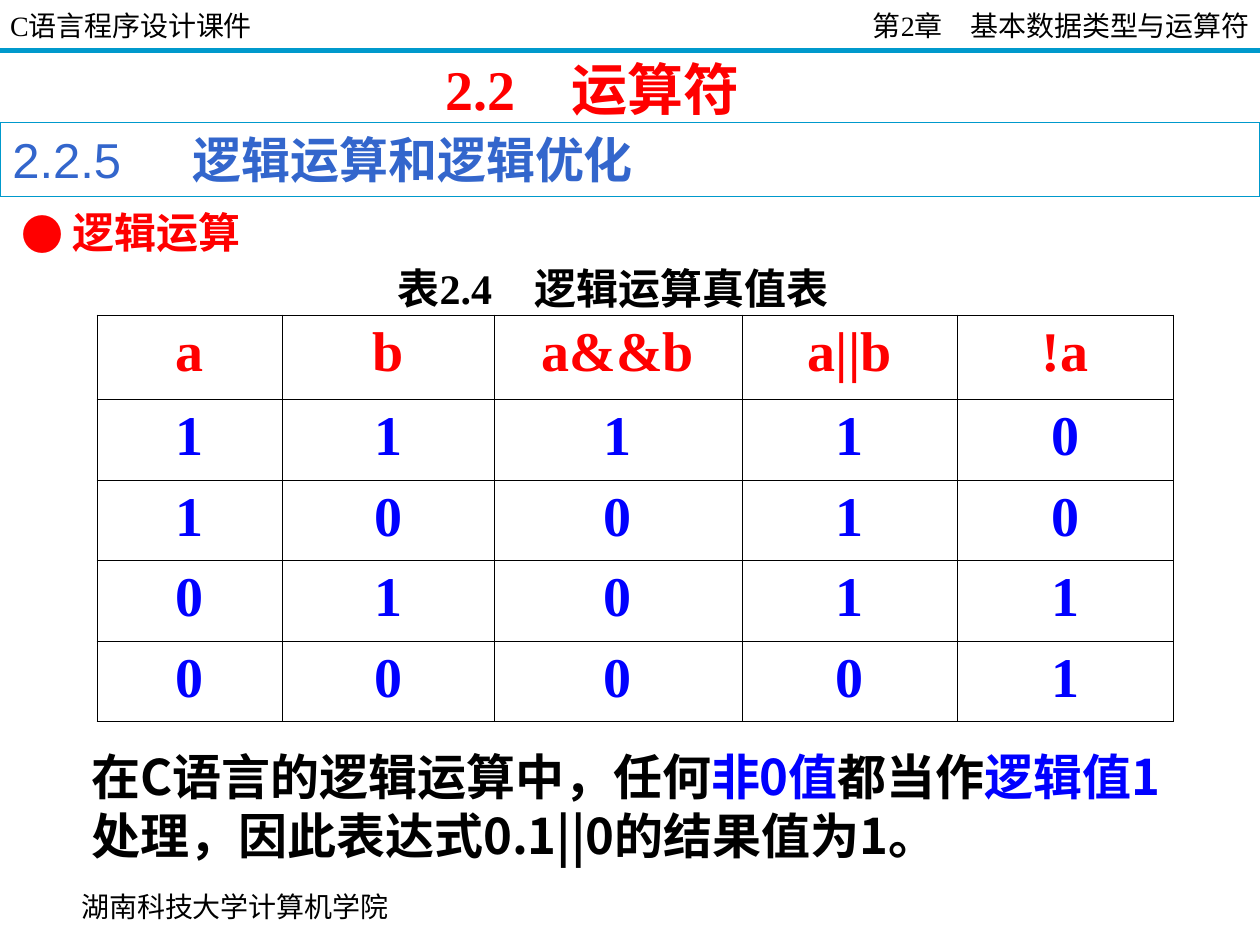
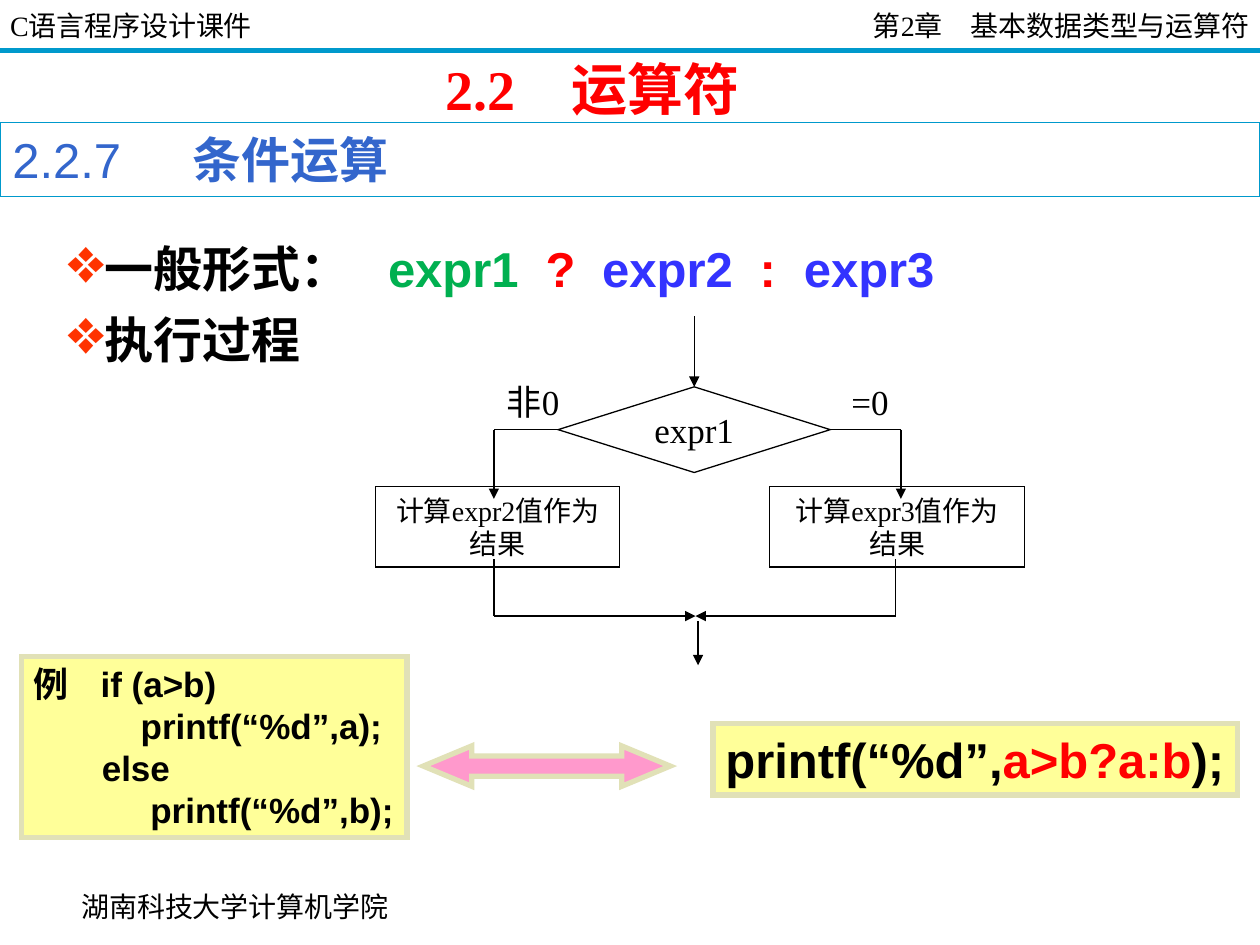
from typing import NamedTuple, Optional

from lxml.etree import SubElement
from pptx import Presentation
from pptx.dml.color import RGBColor
from pptx.enum.shapes import MSO_CONNECTOR, MSO_SHAPE
from pptx.enum.text import MSO_ANCHOR, PP_ALIGN
from pptx.oxml import parse_xml
from pptx.oxml.ns import nsdecls, qn
from pptx.util import Inches, Pt

COLORS = {
    "black": "000000", "red": "FF0000", "blue": "0000FF", "green": "00B050",
    "indigo": "3333FF", "heading": "3366CC", "rule": "0099CC",
    "bullet": "FF3300", "code": "FFFF99", "edge": "E1E1B7", "pink": "FF99CC",
}
SERIF, SANS, CJK = "Times New Roman", "Arial", "Noto Sans CJK SC"
LEFT, CENTER, RIGHT = PP_ALIGN.LEFT, PP_ALIGN.CENTER, PP_ALIGN.RIGHT
TOP, MIDDLE = MSO_ANCHOR.TOP, MSO_ANCHOR.MIDDLE


class Style(NamedTuple):
    size: float
    font: str = SERIF
    bold: bool = False
    color: str = "black"


class Span(NamedTuple):
    text: str
    style: Style


class Box(NamedTuple):
    left: float
    top: float
    width: float
    height: float

    def emu(self) -> list:
        return [Inches(value) for value in self]


class Bullet(NamedTuple):
    char: str
    color: str
    hang: float = 0
    percent: int = 100
    font: Optional[str] = None


class Arrow(NamedTuple):
    x1: float
    y1: float
    x2: float
    y2: float
    head: bool = False


SMALL, LABEL = Style(16), Style(20)
CODE = Style(20, SANS, True)
FORM = Style(28, SANS, True)
NOTE = Style(28, CJK, True)


def rgb(name: str) -> RGBColor:
    return RGBColor.from_string(COLORS[name])


def format_run(run, style: Style) -> None:
    font = run.font
    font.size, font.bold, font.name = Pt(style.size), style.bold, style.font
    font.color.rgb = rgb(style.color)
    SubElement(run._r.get_or_add_rPr(), qn("a:ea"), typeface=CJK)


def add_bullet(paragraph, bullet: Bullet) -> None:
    props = paragraph._p.get_or_add_pPr()
    props.set("marL", str(Inches(bullet.hang)))
    props.set("indent", str(-Inches(bullet.hang)))
    tint = SubElement(props, qn("a:buClr"))
    SubElement(tint, qn("a:srgbClr"), val=COLORS[bullet.color])
    SubElement(props, qn("a:buSzPct"), val=str(bullet.percent * 1000))
    if bullet.font:
        SubElement(props, qn("a:buFont"), typeface=bullet.font)
    SubElement(props, qn("a:buChar"), char=bullet.char)


def add_tabs(paragraph, tabs: list[float]) -> None:
    stops = SubElement(paragraph._p.get_or_add_pPr(), qn("a:tabLst"))
    for tab in tabs:
        SubElement(stops, qn("a:tab"), pos=str(Inches(tab)), algn="l")


def write(frame, lines: list[list[Span]], align=LEFT, anchor=TOP, wrap: bool = True,
          bullet: Optional[Bullet] = None, tabs: Optional[list[float]] = None,
          gap: float = 0, side: float = 0.1) -> None:
    """Fill a text frame with one paragraph per list of spans."""
    frame.word_wrap, frame.vertical_anchor = wrap, anchor
    frame.margin_left = frame.margin_right = Inches(side)
    for index, spans in enumerate(lines):
        paragraph = frame.add_paragraph() if index else frame.paragraphs[0]
        paragraph.alignment = align
        if index and gap:
            paragraph.space_before = Pt(gap)
        if bullet:
            add_bullet(paragraph, bullet)
        if tabs:
            add_tabs(paragraph, tabs)
        for span in spans:
            run = paragraph.add_run()
            run.text = span.text
            format_run(run, span.style)


def add_text(slide, box: Box, lines: list[list[Span]], **layout):
    frame = slide.shapes.add_textbox(*box.emu()).text_frame
    write(frame, lines, **layout)
    return frame


def add_label(slide, box: Box, text: str, style: Style) -> None:
    """Centre one unbroken line of text, using the full width of its box."""
    add_text(slide, box, [[Span(text, style)]], align=CENTER, anchor=MIDDLE,
             wrap=False, side=0)


def add_outline(slide, kind, box: Box, line: str = "black", weight: float = 0.75,
                fill: Optional[str] = None):
    shape = slide.shapes.add_shape(kind, *box.emu())
    shape.shadow.inherit = False
    if fill:
        shape.fill.solid()
        shape.fill.fore_color.rgb = rgb(fill)
    else:
        shape.fill.background()
    shape.line.color.rgb, shape.line.width = rgb(line), Pt(weight)
    SubElement(shape.line._get_or_add_ln(), qn("a:miter"), lim="800000")
    return shape


def add_line(slide, arrow: Arrow, color: str = "black", weight: float = 0.75):
    ends = [Inches(value) for value in arrow[:4]]
    line = slide.shapes.add_connector(MSO_CONNECTOR.STRAIGHT, *ends)
    line.line.color.rgb, line.line.width = rgb(color), Pt(weight)
    if arrow.head:
        SubElement(line.line._get_or_add_ln(), qn("a:tailEnd"), type="triangle")
    SubElement(line._element.spPr, qn("a:effectLst"))
    return line


def add_lesson(deck, number: str, topic: str):
    """Add a slide with the course header, footer, title and section heading."""
    slide = deck.slides.add_slide(deck.slide_layouts[6])
    add_line(slide, Arrow(0, 0.4, 10, 0.4), "rule", 3)
    for left, text, align in ((0, "C语言程序设计课件", LEFT),
                              (5, "第2章　基本数据类型与运算符", RIGHT)):
        add_text(slide, Box(left, 0.02, 5, 0.36), [[Span(text, SMALL)]],
                 align=align, anchor=MIDDLE, side=0.08)
    add_label(slide, Box(0.45, 6.94, 2.83, 0.5), "湖南科技大学计算机学院", SMALL)
    add_text(slide, Box(3.44, 0.38, 3.23, 0.64),
             [[Span("2.2　运算符", Style(32, SERIF, True, "red"))]])
    heading = add_outline(slide, MSO_SHAPE.RECTANGLE, Box(0, 0.97, 10, 0.59), "rule").text_frame
    heading.margin_top = Inches(0.06)
    write(heading, [[Span(f"{number}\t", Style(28, SANS, False, "heading")),
                     Span(topic, Style(28, CJK, True, "heading"))]], tabs=[1.43])
    return slide


def border_cell(cell) -> None:
    props = cell._tc.get_or_add_tcPr()
    for index, side in enumerate(("lnL", "lnR", "lnT", "lnB")):
        props.insert(index, parse_xml(
            f'<a:{side} {nsdecls("a")} w="{Pt(0.45)}"><a:solidFill>'
            f'<a:srgbClr val="{COLORS["black"]}"/></a:solidFill></a:{side}>'))


def add_truth_table(slide) -> None:
    rows = ["a b a&&b a||b !a", "1 1 1 1 0", "1 0 0 1 0", "0 1 0 1 1", "0 0 0 0 1"]
    widths = [1.47, 1.68, 1.97, 1.71, 1.71]
    heights = [0.67] + [0.64] * 4
    box = Box(0.77, 2.5, sum(widths), sum(heights))
    table = slide.shapes.add_table(len(rows), len(widths), *box.emu()).table
    table.first_row = table.horz_banding = False
    for column, width in zip(table.columns, widths):
        column.width = Inches(width)
    for r, (row, height) in enumerate(zip(rows, heights)):
        table.rows[r].height = Inches(height)
        style = Style(32, SERIF, True, "blue" if r else "red")
        for c, value in enumerate(row.split()):
            cell = table.cell(r, c)
            cell.fill.background()
            border_cell(cell)
            write(cell.text_frame, [[Span(value, style)]], align=CENTER)


def build_logic(deck) -> None:
    slide = add_lesson(deck, "2.2.5", "逻辑运算和逻辑优化")
    add_label(slide, Box(2.98, 2.03, 3.77, 0.5), "表2.4　逻辑运算真值表", Style(24, SERIF, True))
    add_truth_table(slide)
    key = NOTE._replace(color="blue")
    add_text(slide, Box(0.63, 5.87, 8.78, 1.04),
             [[Span("在C语言的逻辑运算中，任何", NOTE), Span("非0值", key),
               Span("都当作", NOTE), Span("逻辑值1", key),
               Span("处理，因此表达式0.1||0的结果值为1。", NOTE)]], anchor=MIDDLE)
    add_text(slide, Box(0.07, 1.59, 9.7, 0.5),
             [[Span("逻辑运算", Style(24, CJK, True, "red"))]],
             bullet=Bullet("●", "red", 0.41, font=CJK))


def add_flowchart(slide) -> None:
    split_y, merge_y, merge_x = 3.41, 4.89, 5.52
    test = add_outline(slide, MSO_SHAPE.FLOWCHART_DECISION, Box(4.43, 3.07, 2.16, 0.68))
    write(test.text_frame, [[Span("expr1", LABEL)]], align=CENTER, anchor=MIDDLE, wrap=False)
    add_line(slide, Arrow(5.51, 2.51, 5.51, 3.07, True)).end_connect(test, 0)

    # result box, x of the branch into it and out of it, diamond side, its x
    branches = [("expr2", Box(2.98, 3.86, 1.94, 0.64), 3.92, 3.92, 1, 4.43),
                ("expr3", Box(6.11, 3.86, 2.02, 0.64), 7.15, 7.11, 3, 6.59)]
    for expression, box, in_x, out_x, side, side_x in branches:
        result = add_outline(slide, MSO_SHAPE.RECTANGLE, box)
        write(result.text_frame, [[Span(f"计算{expression}值作为结果", SMALL)]],
              align=CENTER, anchor=MIDDLE)
        add_line(slide, Arrow(side_x, split_y, in_x, split_y)).begin_connect(test, side)
        add_line(slide, Arrow(in_x, split_y, in_x, 3.96, True))
        add_line(slide, Arrow(out_x, 4.44, out_x, merge_y))
        add_line(slide, Arrow(out_x, merge_y, merge_x, merge_y, True))
    add_line(slide, Arrow(5.54, 4.93, 5.54, 5.28, True))

    for answer, left, width in (("非0", 3.89, 0.68), ("=0", 6.66, 0.49)):
        add_label(slide, Box(left, 2.97, width, 0.44), answer, LABEL)


def add_code(slide, box: Box, lines: list[list[Span]], **layout) -> None:
    panel = add_outline(slide, MSO_SHAPE.RECTANGLE, box, "edge", 3, "code")
    write(panel.text_frame, lines, wrap=False, **layout)


def build_conditional(deck) -> None:
    slide = add_lesson(deck, "2.2.7", "条件运算")
    parts = [("一般形式：", "black"), ("\texpr1", "green"), ("\t?", "red"),
             ("\texpr2", "indigo"), ("\t:", "red"), ("\texpr3", "indigo")]
    form = [Span(text, FORM._replace(color=color)) for text, color in parts]
    add_text(slide, Box(0.26, 1.84, 9.3, 2.16), [form, [Span("执行过程", FORM)]],
             bullet=Bullet("❖", "bullet", percent=130), gap=7, side=0.28,
             tabs=[2.54, 3.79, 4.24, 5.49, 5.84])
    add_flowchart(slide)

    listing = ["例\tif (a>b)", "           printf(“%d”,a);",
               "       else", "            printf(“%d”,b);"]
    add_code(slide, Box(0.17, 5.21, 3.06, 1.44),
             [[Span(line, CODE)] for line in listing], tabs=[0.53])
    same = add_outline(slide, MSO_SHAPE.LEFT_RIGHT_ARROW, Box(3.36, 5.92, 1.96, 0.32),
                       "edge", 3, "pink")
    same.adjustments[0], same.adjustments[1] = 0.5, 1.2
    add_code(slide, Box(5.66, 5.74, 4.16, 0.57),
             [[Span("printf(“%d”,", FORM), Span("a>b?a:b", FORM._replace(color="red")),
               Span(");", FORM)]])


def main() -> None:
    deck = Presentation()
    deck.slide_width, deck.slide_height = Inches(10), Inches(7.5)
    build_logic(deck)
    build_conditional(deck)
    deck.save("out.pptx")


if __name__ == "__main__":
    main()
